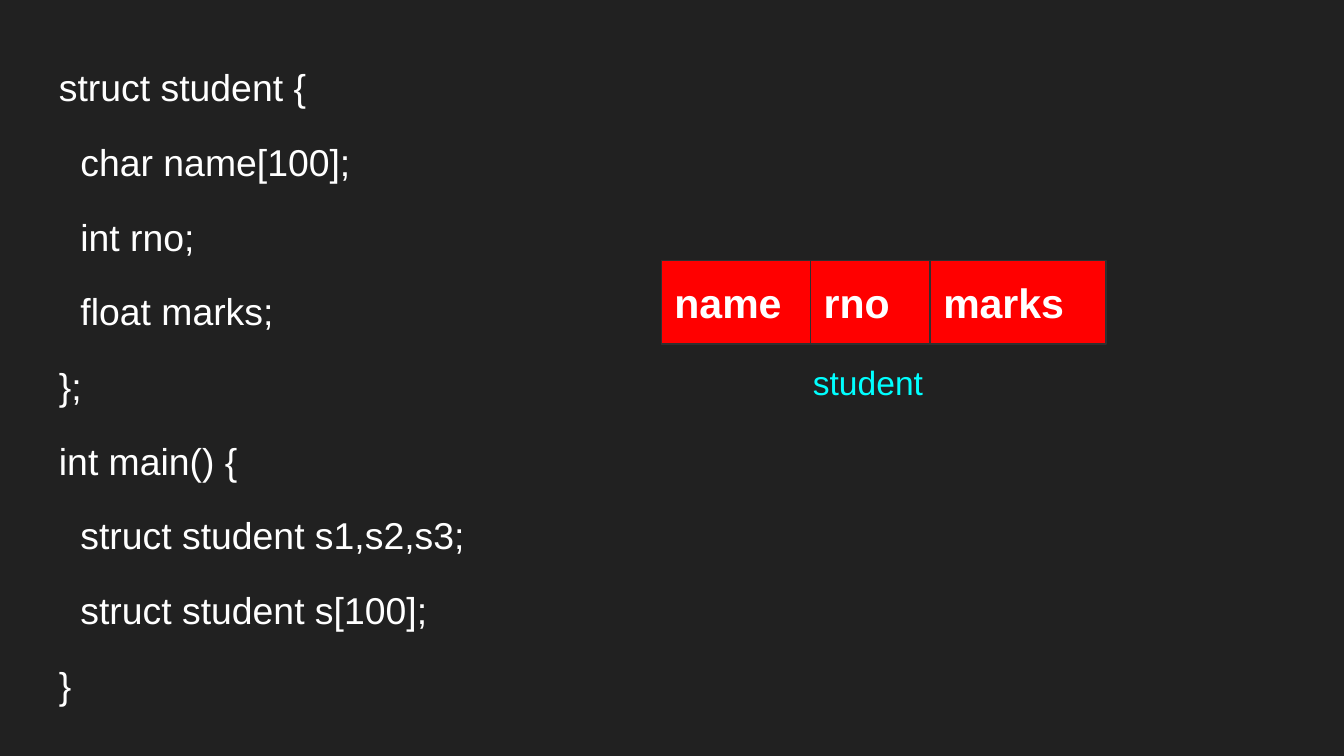
"""Build a slide showing a C structure definition beside its memory layout."""
from dataclasses import dataclass

from pptx import Presentation
from pptx.dml.color import RGBColor
from pptx.enum.shapes import MSO_SHAPE
from pptx.enum.text import MSO_ANCHOR, PP_ALIGN
from pptx.shapes.group import GroupShape
from pptx.slide import Slide
from pptx.text.text import TextFrame, _Paragraph
from pptx.util import Inches, Pt

RECTANGLE = MSO_SHAPE.RECTANGLE
TOP, MIDDLE = MSO_ANCHOR.TOP, MSO_ANCHOR.MIDDLE
LEFT = PP_ALIGN.LEFT

BACKGROUND = RGBColor(0x21, 0x21, 0x21)
WHITE = RGBColor(0xFF, 0xFF, 0xFF)
RED = RGBColor(0xFF, 0x00, 0x00)
BORDER = RGBColor(0x30, 0x30, 0x30)
CYAN = RGBColor(0x00, 0xFF, 0xFF)

FONT = "Arial"
BLANK_LAYOUT = 6
SLIDE_WIDTH = Inches(10)
INDENT = Inches(0.16)
FIELDS_LEFT, FIELDS_TOP, FIELD_HEIGHT = 4.92, 1.94, 0.62


@dataclass(frozen=True)
class CodeLine:
    text: str
    level: int = 0


@dataclass(frozen=True)
class Field:
    name: str
    width: float


CODE = (
    CodeLine("struct student {"),
    CodeLine("char name[100];", 1),
    CodeLine("int rno;", 1),
    CodeLine("float marks;", 1),
    CodeLine("};"),
    CodeLine("int main() {"),
    CodeLine("struct student s1,s2,s3;", 1),
    CodeLine("struct student s[100];", 1),
    CodeLine("}"),
)
FIELDS = (Field("name", 1.11), Field("rno", 0.89), Field("marks", 1.31))


def format_frame(frame: TextFrame, anchor: MSO_ANCHOR) -> None:
    """Set wrapping, anchor and equal insets."""
    frame.word_wrap = True
    frame.vertical_anchor = anchor
    frame.margin_left = frame.margin_right = Inches(0.1)
    frame.margin_top = frame.margin_bottom = Inches(0.1)


def write(paragraph: _Paragraph, text: str, size: int, color: RGBColor, bold: bool = False) -> None:
    """Fill a left-aligned paragraph with formatted text."""
    paragraph.text = text
    paragraph.alignment = LEFT
    font = paragraph.font
    font.name, font.size, font.bold = FONT, Pt(size), bold
    font.color.rgb = color


def draw_code(slide: Slide) -> None:
    """Draw the program listing, one paragraph per line."""
    shape = slide.shapes.add_textbox(Inches(0.34), Inches(0.38), Inches(9.32), Inches(4.61))
    frame = shape.text_frame
    format_frame(frame, TOP)
    for index, line in enumerate(CODE):
        paragraph = frame.add_paragraph() if index else frame.paragraphs[0]
        write(paragraph, line.text, 20, WHITE)
        paragraph.space_before = Pt(16 if index else 0)
        properties = paragraph._p.get_or_add_pPr()
        properties.set("marL", str(INDENT * line.level))
        properties.set("indent", "0")


def draw_field(group: GroupShape, field: Field, left: float) -> None:
    """Draw one member of the structure as a labelled cell."""
    shape = group.shapes.add_shape(
        RECTANGLE, Inches(left), Inches(FIELDS_TOP), Inches(field.width), Inches(FIELD_HEIGHT)
    )
    shape.shadow.inherit = False
    shape.fill.solid()
    shape.fill.fore_color.rgb = RED
    shape.line.color.rgb = BORDER
    shape.line.width = Pt(0.75)
    format_frame(shape.text_frame, MIDDLE)
    write(shape.text_frame.paragraphs[0], field.name, 22, WHITE, bold=True)


def draw_structure(slide: Slide) -> None:
    """Draw the adjoining member cells and the structure name below."""
    group = slide.shapes.add_group_shape()
    left = FIELDS_LEFT
    for field in FIELDS:
        draw_field(group, field, left)
        left += field.width
    label = group.shapes.add_textbox(Inches(5.95), Inches(2.59), Inches(1.19), Inches(0.35))
    format_frame(label.text_frame, TOP)
    write(label.text_frame.paragraphs[0], "student", 18, CYAN)


def main() -> None:
    """Create and save the presentation."""
    presentation = Presentation()
    presentation.slide_width = SLIDE_WIDTH
    presentation.slide_height = SLIDE_WIDTH * 9 // 16
    slide = presentation.slides.add_slide(presentation.slide_layouts[BLANK_LAYOUT])
    slide.background.fill.solid()
    slide.background.fill.fore_color.rgb = BACKGROUND
    draw_code(slide)
    draw_structure(slide)
    presentation.save("out.pptx")


if __name__ == "__main__":
    main()
